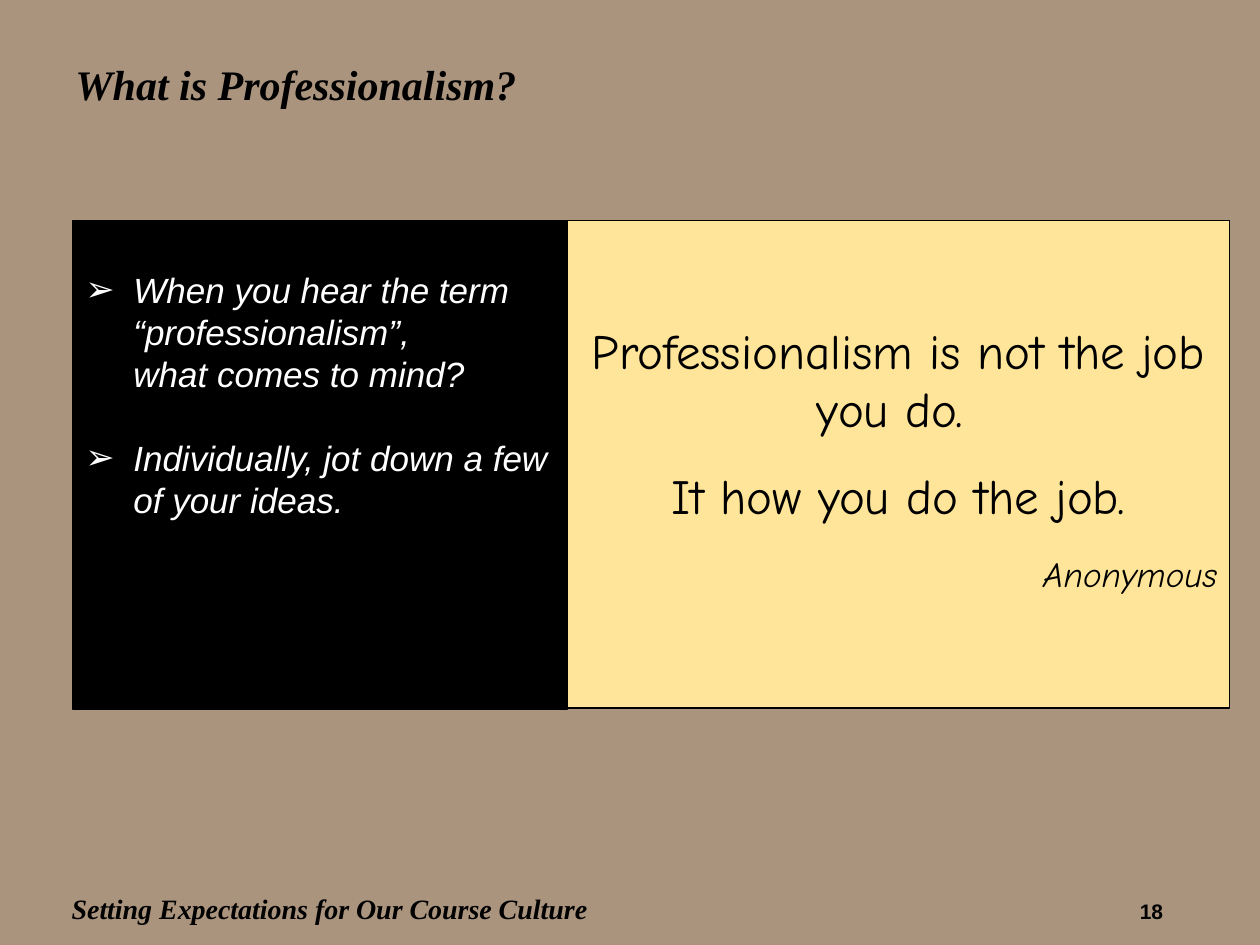
from lxml import etree
from pptx import Presentation
from pptx.dml.color import RGBColor
from pptx.enum.shapes import MSO_SHAPE
from pptx.enum.text import MSO_ANCHOR, PP_ALIGN
from pptx.oxml.ns import qn
from pptx.util import Inches, Pt

RECT = MSO_SHAPE.RECTANGLE
TOP, MIDDLE = MSO_ANCHOR.TOP, MSO_ANCHOR.MIDDLE
LEFT, CENTER, RIGHT = PP_ALIGN.LEFT, PP_ALIGN.CENTER, PP_ALIGN.RIGHT

COLORS = {"background": "AA947E", "quote": "FFE599", "black": "000000", "white": "FFFFFF"}

HEADING = {"name": "Times New Roman", "size": Pt(24), "bold": True, "italic": True}
FOOTER = {**HEADING, "size": Pt(16)}
NUMBER = {"name": "Arial", "size": Pt(12), "bold": True}
PROMPT = {"name": "Arial", "size": Pt(20), "italic": True}
QUOTE = {"name": "Comic Neue", "size": Pt(28)}
AUTHOR = {**QUOTE, "size": Pt(20), "italic": True}

PROMPTS = [
    "When you hear the term “professionalism”, \vwhat comes to mind?",
    "Individually, jot down a few of your ideas.",
]
QUOTE_LINES = [
    ("Professionalism is not the job you do. ", CENTER, QUOTE),
    ("It how you do the job.", CENTER, QUOTE),
    ("Anonymous", RIGHT, AUTHOR),
]


def rgb(name):
    """Return the named colour."""
    return RGBColor.from_string(COLORS[name])


def set_frame(tf, anchor=TOP, side=0.1, top=0.05):
    """Set wrapping, anchor and margins of a text frame."""
    formats = {
        "word_wrap": True,
        "vertical_anchor": anchor,
        "margin_left": Inches(side),
        "margin_right": Inches(side),
        "margin_top": Inches(top),
        "margin_bottom": Inches(0.05),
    }
    for key, value in formats.items():
        setattr(tf, key, value)


def add_bullet(p, char="➢", indent=0.38):
    """Give a paragraph a hanging bullet."""
    pPr = p._p.get_or_add_pPr()
    pPr.set("marL", str(Inches(indent)))
    pPr.set("indent", str(-Inches(indent)))
    etree.SubElement(pPr, qn("a:buFont")).set("typeface", "Arial")
    etree.SubElement(pPr, qn("a:buChar")).set("char", char)


def write(tf, index, text, font, align=LEFT, color="black", gap=0, bullet=False):
    """Write one formatted paragraph, spaced from the one before."""
    p = tf.add_paragraph() if index else tf.paragraphs[0]
    p.text = text
    p.alignment = align
    if index:
        p.space_before = Pt(gap)
    if bullet:
        add_bullet(p)
    for r in p.runs:
        for key, value in font.items():
            setattr(r.font, key, value)
        r.font.color.rgb = rgb(color)


def add_panel(s, box, fill, top):
    """Add an outlined rectangle and return its text frame."""
    sp = s.shapes.add_shape(RECT, *map(Inches, box))
    sp.shadow.inherit = False
    sp.fill.solid()
    sp.fill.fore_color.rgb = rgb(fill)
    sp.line.color.rgb = rgb("black")
    sp.line.width = Pt(0.75)
    set_frame(sp.text_frame, top=top)
    return sp.text_frame


def add_label(s, box, text, font, align=LEFT, anchor=MIDDLE):
    """Add a one-line text box."""
    tf = s.shapes.add_textbox(*map(Inches, box)).text_frame
    set_frame(tf, anchor)
    write(tf, 0, text, font, align)


def main():
    """Build the slide and save it."""
    prs = Presentation()
    prs.slide_width, prs.slide_height = Inches(10), Inches(7.5)
    s = prs.slides.add_slide(prs.slide_layouts[6])
    s.background.fill.solid()
    s.background.fill.fore_color.rgb = rgb("background")

    tf = add_panel(s, (4.5, 1.75, 5.26, 3.87), "quote", top=0.79)
    for i, (text, align, font) in enumerate(QUOTE_LINES):
        write(tf, i, text, font, align, gap=16)

    tf = add_panel(s, (0.58, 1.75, 3.92, 3.88), "black", top=0.38)
    for i, text in enumerate(PROMPTS):
        write(tf, i, text, PROMPT, color="white", gap=24, bullet=True)

    add_label(s, (0.5, 0.33, 9.17, 0.67), "What is Professionalism?", HEADING)
    add_label(s, (8.33, 7.08, 1, 0.25), "18", NUMBER, RIGHT, TOP)
    add_label(s, (0.47, 6.92, 4.53, 0.58), "Setting Expectations for Our Course Culture", FOOTER)
    prs.save("out.pptx")


if __name__ == "__main__":
    main()
